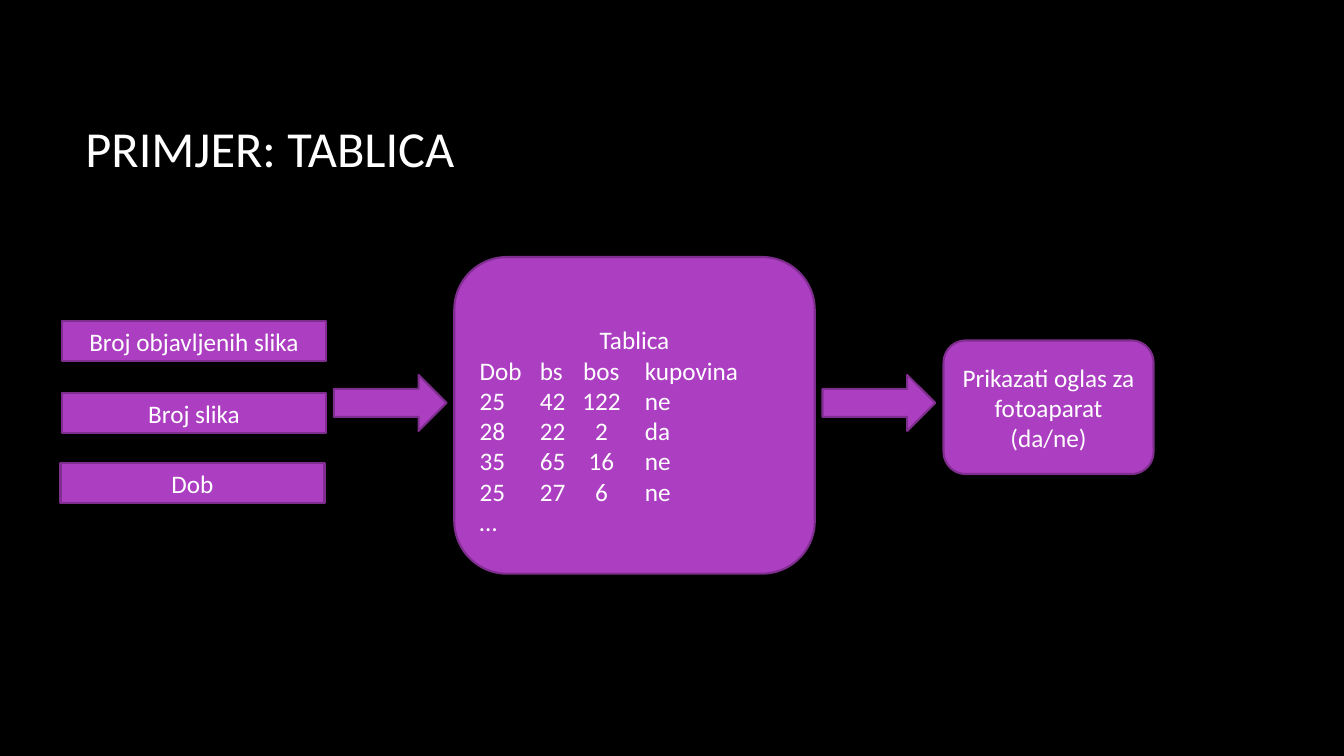
from lxml import etree
from pptx import Presentation
from pptx.dml.color import RGBColor
from pptx.enum import shapes, text
from pptx.oxml.ns import qn
from pptx.util import Pt

BLACK = RGBColor(0x00, 0x00, 0x00)
WHITE = RGBColor(0xFF, 0xFF, 0xFF)
PURPLE = RGBColor(0xAC, 0x3E, 0xC1)
DARK_PURPLE = RGBColor(0x7F, 0x2E, 0x8F)
KIND = shapes.MSO_SHAPE
ALIGN = text.PP_ALIGN


def write(shape, content, size, alignment):
    """Put vertically centred white Calibri text into a shape."""
    frame = shape.text_frame
    frame.word_wrap = True
    frame.vertical_anchor = text.MSO_ANCHOR.MIDDLE
    frame.text = content
    for paragraph in frame.paragraphs:
        paragraph.alignment = alignment
        for run in paragraph.runs:
            run.font.name = "Calibri"
            run.font.size = Pt(size)
            run.font.color.rgb = WHITE


def add_block(kind, left, top, width, height, content=""):
    """Add a purple block with optional centred text."""
    block = slide.shapes.add_shape(kind, Pt(left), Pt(top), Pt(width), Pt(height))
    block.shadow.inherit = False
    block.fill.solid()
    block.fill.fore_color.rgb = PURPLE
    block.line.color.rgb = DARK_PURPLE
    block.line.width = Pt(1.5)
    if content:
        write(block, content, 18, ALIGN.CENTER)
    return block


presentation = Presentation()
presentation.slide_width = Pt(960)
presentation.slide_height = Pt(540)
slide = presentation.slides.add_slide(presentation.slide_layouts[6])
slide.background.fill.solid()
slide.background.fill.fore_color.rgb = BLACK

title = slide.shapes.add_textbox(Pt(54), Pt(48), Pt(798), Pt(114.5))
write(title, "PRIMJER: TABLICA", 36, ALIGN.LEFT)

# Lookup table: a heading above rows aligned on shared tab stops
rows = [
    ("Dob", "bs", "bos", "kupovina"),
    ("25", "42", "122", "ne"),
    ("28", "22", "2", "da"),
    ("35", "65", "16", "ne"),
    ("25", "27", "6", "ne"),
    ("…",),
]
lines = ["Tablica"] + ["\t".join(row) for row in rows]
lookup = add_block(KIND.ROUNDED_RECTANGLE, 324.5, 183.6, 257.5, 226.2, "\n".join(lines))
lookup.text_frame.margin_top = Pt(25.2)
for paragraph in lookup.text_frame.paragraphs[1:]:
    paragraph.alignment = ALIGN.LEFT
    properties = paragraph._p.get_or_add_pPr()
    tab_list = etree.SubElement(properties, qn("a:tabLst"))
    for position, alignment in ((43, "l"), (87, "ctr"), (118, "l")):
        etree.SubElement(tab_list, qn("a:tab"), pos=str(Pt(position)), algn=alignment)

for arrow_left in (238.5, 587.5):
    add_block(KIND.RIGHT_ARROW, arrow_left, 267.8, 80.5, 40)

inputs = [
    ("Broj objavljenih slika", 44.3, 229.2),
    ("Broj slika", 44.3, 280.6),
    ("Dob", 43.2, 330.6),
]
for label, left, top in inputs:
    add_block(KIND.RECTANGLE, left, top, 188.6, 28.8, label)

add_block(KIND.ROUNDED_RECTANGLE, 674, 243.2, 150, 95.4,
          "Prikazati oglas za fotoaparat\n(da/ne)")

presentation.save("out.pptx")
